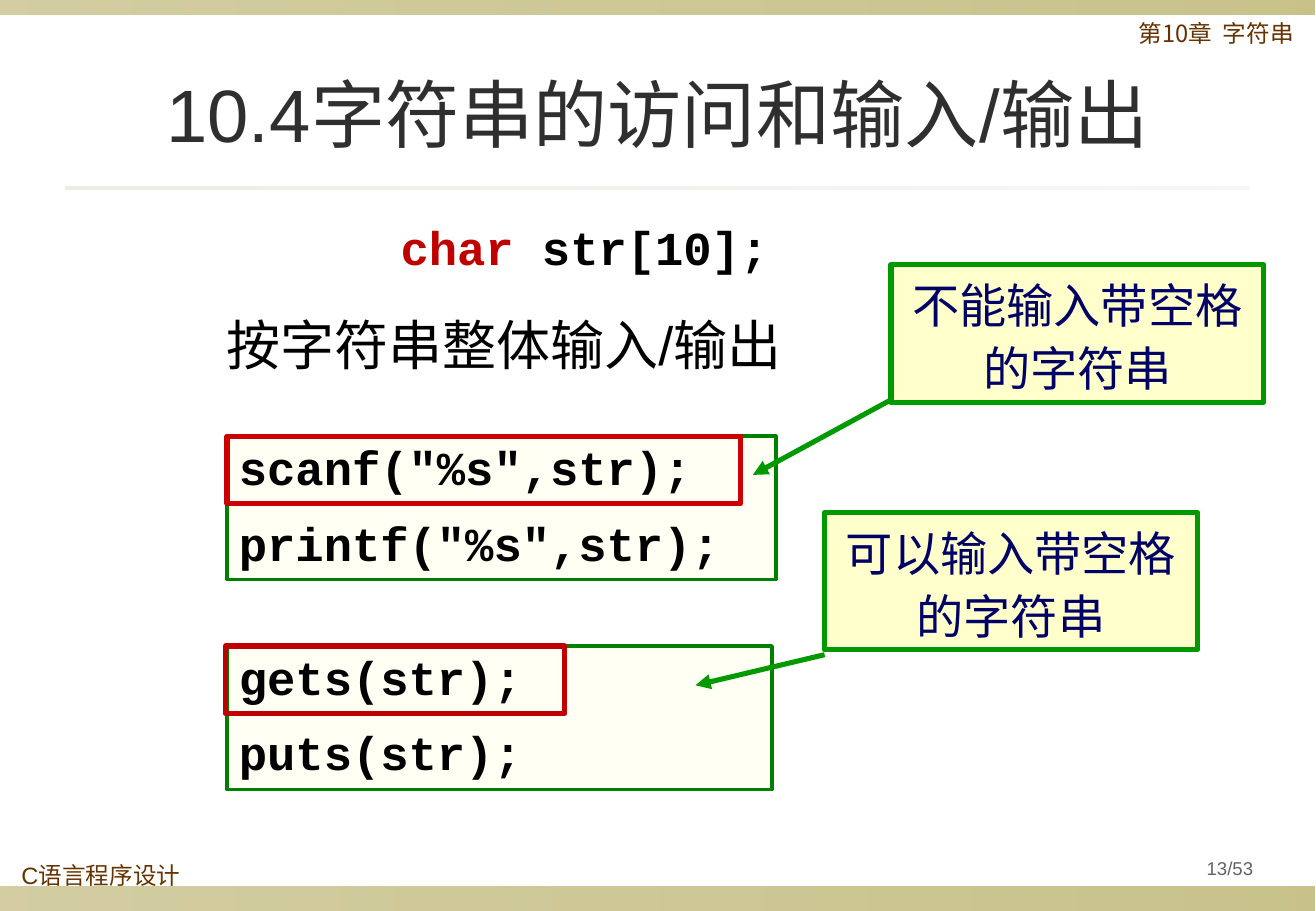
import pptx
import pptx.dml.color
import pptx.enum.shapes
import pptx.enum.text
import pptx.oxml
import pptx.oxml.ns
import pptx.util
from lxml import etree

Cm = pptx.util.Cm
Pt = pptx.util.Pt
RGB = pptx.dml.color.RGBColor.from_string
qn = pptx.oxml.ns.qn
ALIGN = pptx.enum.text.PP_ALIGN
ANCHOR = pptx.enum.text.MSO_ANCHOR

COLORS = {
    "olive": "918415", "sand": "DCD9CC", "brown": "663300",
    "title": "2F2F2F", "black": "000000", "keyword": "C00000",
    "cream": "FFFFF4", "code line": "008000", "note line": "009900",
    "note": "FFFFCC", "navy": "000066", "scanf frame": "CC0000",
    "gets frame": "C00000", "grey": "636363",
}
CJK = "Noto Sans CJK SC"


def write(box, lines, size, font, color, align=ALIGN.LEFT, anchor=ANCHOR.TOP,
          spacing=1.0, before=0, after=0, bold=False, inset=0.25):
    frame = box.text_frame
    frame.word_wrap = True
    frame.vertical_anchor = anchor
    frame.margin_left = frame.margin_right = Cm(inset)
    frame.margin_top = frame.margin_bottom = Cm(0.13)
    for index, line in enumerate(lines):
        para = frame.add_paragraph() if index else frame.paragraphs[0]
        para.alignment = align
        para.line_spacing = spacing
        para.space_before = Pt(before if index else 0)
        para.space_after = Pt(after)
        para.font.size = Pt(size)
        para.font.bold = bold
        para.font.color.rgb = RGB(COLORS[color])
        para.font.name = font
        east_asian = etree.SubElement(para._p.pPr.find(qn("a:defRPr")), qn("a:ea"))
        east_asian.set("typeface", CJK)
        para.add_run().text = line


def add_rect(page, left, top, width, height, fill=None, line=None, weight=3):
    rect = page.shapes.add_shape(
        pptx.enum.shapes.MSO_SHAPE.RECTANGLE, Cm(left), Cm(top), Cm(width), Cm(height))
    rect.shadow.inherit = False
    if fill:
        rect.fill.solid()
        rect.fill.fore_color.rgb = RGB(COLORS[fill])
    else:
        rect.fill.background()
    if line:
        rect.line.color.rgb = RGB(COLORS[line])
        rect.line.width = Pt(weight)
    else:
        rect.line.fill.background()
    return rect


deck = pptx.Presentation()
deck.slide_width = Cm(27.53)
deck.slide_height = Cm(19.05)
page = deck.slides.add_slide(deck.slide_layouts[5])

bands = [
    (0, 18.54, 27.51, 0.51, "olive", (40, 50)),
    (0, 0, 27.51, 0.3, "olive", (40, 50)),
    (1.37, 3.91, 24.77, 0.05, "sand", (50, 20)),
]
for left, top, width, height, color, opacities in bands:
    band = add_rect(page, left, top, width, height)
    band.fill.gradient()
    band.fill.gradient_angle = 0
    for stop, position, opacity in zip(band.fill.gradient_stops, (0, 1), opacities):
        stop.position = position
        stop.color.rgb = RGB(COLORS[color])
    for tint, opacity in zip(band.fill._xPr.iter(qn("a:srgbClr")), opacities):
        etree.SubElement(tint, qn("a:alpha")).set("val", str(opacity * 1000))

title = page.shapes.title
title.left, title.top, title.width, title.height = Cm(1.37), Cm(0.76), Cm(24.77), Cm(3.18)
write(title, ["10.4字符串的访问和输入/输出"], 44, "Arial", "title",
      ALIGN.CENTER, ANCHOR.MIDDLE)

labels = [
    (23.57, 0.33, 4.39, 0.99, "第10章  字符串", 14, CJK, "brown",
     dict(spacing=0.9)),
    (0.2, 17.93, 3.96, 0.81, "C语言程序设计", 14, "Arial", "brown",
     dict(spacing=0.9)),
    (3.53, 6.12, 14.02, 2.34, "按字符串整体输入/输出", 32, "Arial", "black",
     dict(align=ALIGN.CENTER, anchor=ANCHOR.MIDDLE, spacing=0.85)),
    (24.36, 17.78, 2.74, 0.79, "13/53", 11, "Arial", "grey",
     dict(align=ALIGN.CENTER, anchor=ANCHOR.MIDDLE, spacing=0.9, inset=0.13)),
    (8.13, 4.52, 9.09, 1.8, "char", 28, "Courier New", "black",
     dict(spacing=0.95, bold=True)),
]
for left, top, width, height, text, size, font, color, layout in labels:
    label = page.shapes.add_textbox(Cm(left), Cm(top), Cm(width), Cm(height))
    write(label, [text], size, font, color, **layout)

declaration = label.text_frame.paragraphs[0]
declaration.runs[0].font.color.rgb = RGB(COLORS["keyword"])
declaration.add_run().text = " str[10];"

examples = [
    dict(code=(4.75, 9.12, 11.48, 3), lines=['scanf("%s",str);', 'printf("%s",str);'],
         frame=(4.75, 9.12, 10.74, 1.42), frame_color="scanf frame",
         note=(18.64, 5.54, 7.8, 2.87), remark="不能输入带空格的字符串",
         arrow=(18.64, 8.36, 15.75, 9.93)),
    dict(code=(4.75, 13.51, 11.4, 3), lines=["gets(str);", "puts(str);"],
         frame=(4.72, 13.51, 7.09, 1.42), frame_color="gets frame",
         note=(17.25, 10.72, 7.8, 2.87), remark="可以输入带空格的字符串",
         arrow=(17.25, 13.69, 14.55, 14.33)),
]
for example in examples:
    code = add_rect(page, *example["code"], fill="cream", line="code line", weight=2.25)
    write(code, example["lines"], 28, "Courier New", "black",
          spacing=0.95, before=7, after=5.9, bold=True)

    arrow = page.shapes.add_connector(
        pptx.enum.shapes.MSO_CONNECTOR.STRAIGHT, *map(Cm, example["arrow"]))
    arrow.line.color.rgb = RGB(COLORS["note line"])
    arrow.line.width = Pt(3)
    etree.SubElement(arrow.line._get_or_add_ln(), qn("a:tailEnd")).set("type", "triangle")
    etree.SubElement(arrow._element.spPr, qn("a:effectLst"))

    note = add_rect(page, *example["note"], fill="note", line="note line")
    write(note, [example["remark"]], 28, CJK, "navy", ALIGN.CENTER, spacing=1.1, after=6)

    add_rect(page, *example["frame"], line=example["frame_color"])

deck.save("out.pptx")
